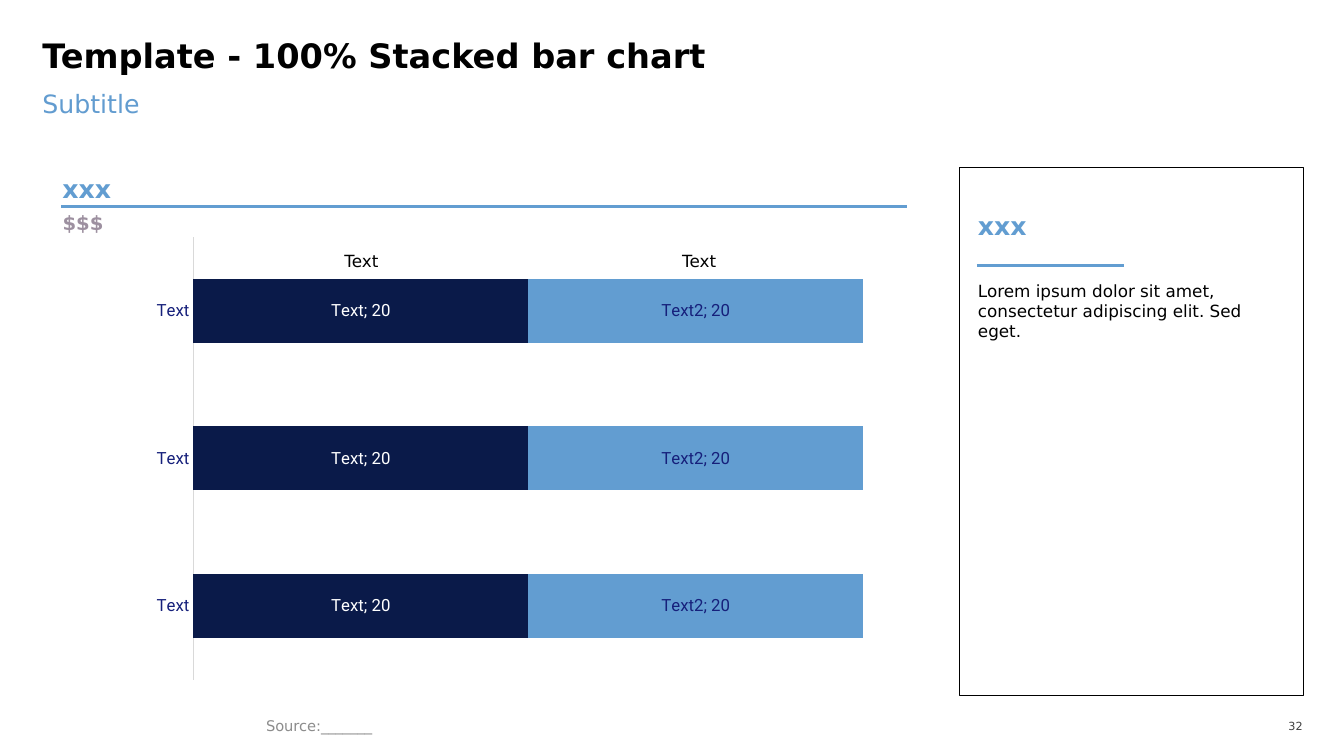
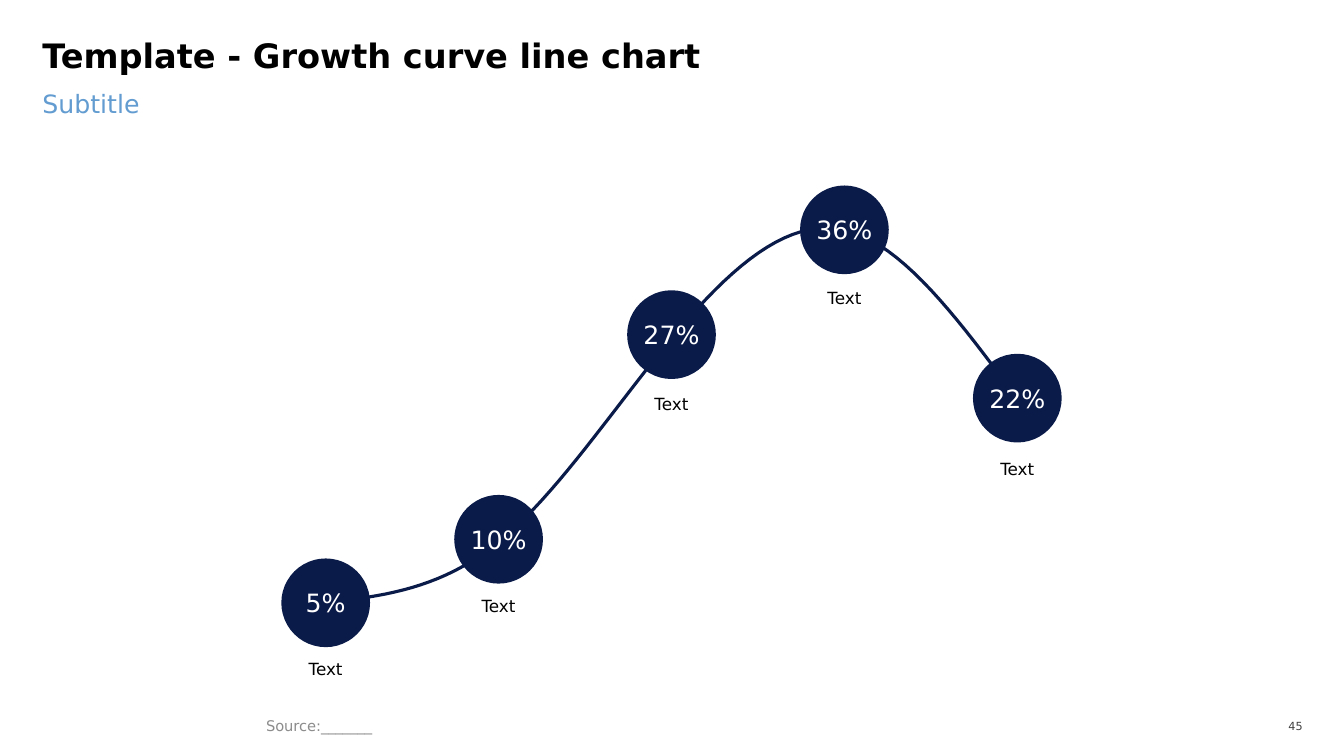
from dataclasses import dataclass

from pptx import Presentation
from pptx.chart.chart import Chart
from pptx.chart.data import CategoryChartData
from pptx.dml.color import RGBColor
from pptx.enum.chart import XL_CHART_TYPE, XL_MARKER_STYLE, XL_TICK_MARK
from pptx.enum.shapes import MSO_CONNECTOR, MSO_SHAPE
from pptx.enum.text import MSO_ANCHOR, PP_ALIGN
from pptx.oxml import parse_xml
from pptx.oxml.ns import nsdecls, qn
from pptx.shapes.autoshape import Shape
from pptx.slide import Slide
from pptx.text.text import Font
from pptx.util import Inches, Pt


@dataclass(frozen=True)
class Theme:
    black: RGBColor = RGBColor.from_string("000000")
    white: RGBColor = RGBColor.from_string("FFFFFF")
    navy: RGBColor = RGBColor.from_string("0A1A49")
    sky: RGBColor = RGBColor.from_string("629DD1")
    subtitle: RGBColor = RGBColor.from_string("629CD0")
    indigo: RGBColor = RGBColor.from_string("16207B")
    mauve: RGBColor = RGBColor.from_string("9D90A0")
    source: RGBColor = RGBColor.from_string("8C8C8C")
    number: RGBColor = RGBColor.from_string("404040")
    axis: RGBColor = RGBColor.from_string("D9D9D9")
    text_font: str = "DejaVu Sans"
    chart_font: str = "Roboto"
    title_size: float = 24
    heading_size: float = 18
    unit_size: float = 14
    body_size: float = 12
    source_size: float = 10.5
    chart_size: float = 10
    number_size: float = 8
    rule_width: float = 2.25


THEME = Theme()


@dataclass(frozen=True)
class Area:
    left: float
    top: float
    width: float
    height: float

    def lengths(self) -> tuple[Inches, Inches, Inches, Inches]:
        return (Inches(self.left), Inches(self.top),
                Inches(self.width), Inches(self.height))


@dataclass(frozen=True)
class Style:
    size: float = THEME.body_size
    color: RGBColor = THEME.black
    bold: bool = False
    align: PP_ALIGN = PP_ALIGN.LEFT
    anchor: MSO_ANCHOR = MSO_ANCHOR.TOP
    inset: bool = False
    line_spacing: float = 1.0


@dataclass(frozen=True)
class BarSeries:
    name: str
    values: tuple[int, ...]
    fill: RGBColor
    label_color: RGBColor


@dataclass(frozen=True)
class GrowthPoint:
    value: int
    percent: str
    circle_top: float
    label_top: float


TITLE = Style(THEME.title_size, bold=True, line_spacing=0.8)
SUBTITLE = Style(THEME.heading_size, THEME.subtitle)
HEADING = Style(THEME.heading_size, THEME.sky, True, anchor=MSO_ANCHOR.BOTTOM)
UNIT = Style(THEME.unit_size, THEME.mauve, True)
BODY = Style()
CAPTION = Style(align=PP_ALIGN.CENTER)
COLUMN = Style(align=PP_ALIGN.CENTER, anchor=MSO_ANCHOR.BOTTOM)
PERCENT = Style(THEME.heading_size, THEME.white, align=PP_ALIGN.CENTER,
                anchor=MSO_ANCHOR.MIDDLE)
SOURCE = Style(THEME.source_size, THEME.source, anchor=MSO_ANCHOR.MIDDLE, inset=True)
NUMBER = Style(THEME.number_size, THEME.number, align=PP_ALIGN.RIGHT,
               anchor=MSO_ANCHOR.MIDDLE)

BAR_SERIES = (
    BarSeries("Text", (20, 20, 20), THEME.navy, THEME.white),
    BarSeries("Text2", (20, 20, 20), THEME.sky, THEME.indigo),
)
GROWTH_POINTS = (
    GrowthPoint(14, "5%", 5.54, 6.54),
    GrowthPoint(28, "10%", 4.91, 5.91),
    GrowthPoint(75, "27%", 2.88, 3.91),
    GrowthPoint(100, "36%", 1.84, 2.85),
    GrowthPoint(61, "22%", 3.51, 4.55),
)


def style_font(font: Font, size: float, color: RGBColor, name: str) -> None:
    font.size = Pt(size)
    font.name = name
    font.color.rgb = color


def write_text(box: Shape, text: str, style: Style) -> None:
    frame = box.text_frame
    frame.word_wrap = True
    frame.vertical_anchor = style.anchor
    if not style.inset:
        frame.margin_left = frame.margin_right = Inches(0)
        frame.margin_top = frame.margin_bottom = Inches(0)
    para = frame.paragraphs[0]
    para.alignment = style.align
    para.line_spacing = style.line_spacing
    span = para.add_run()
    span.text = text
    span.font.bold = style.bold
    style_font(span.font, style.size, style.color, THEME.text_font)


def add_text(page: Slide, area: Area, text: str, style: Style) -> None:
    write_text(page.shapes.add_textbox(*area.lengths()), text, style)


def add_rule(page: Slide, left: float, right: float, top: float) -> None:
    rule = page.shapes.add_connector(
        MSO_CONNECTOR.STRAIGHT, Inches(left), Inches(top), Inches(right), Inches(top))
    rule.line.color.rgb = THEME.sky
    rule.line.width = Pt(THEME.rule_width)
    rule._element.spPr.append(parse_xml(f"<a:effectLst {nsdecls('a')}/>"))


def add_page(deck: Presentation, title: str, number: str) -> Slide:
    page = deck.slides.add_slide(deck.slide_layouts[6])
    add_text(page, Area(0.42, 0.42, 12.49, 0.53), title, TITLE)
    add_text(page, Area(0.42, 0.88, 12.49, 0.63), "Subtitle", SUBTITLE)
    add_text(page, Area(2.54, 7.07, 6.39, 0.26), "Source:_______", SOURCE)
    add_text(page, Area(12.5, 7.09, 0.42, 0.23), number, NUMBER)
    return page


def place_plot(chart: Chart, plot: Area) -> None:
    plot_area = chart._chartSpace.chart.plotArea
    for layout in plot_area.findall(qn("c:layout")):
        plot_area.remove(layout)
    sizes = (("x", plot.left), ("y", plot.top), ("w", plot.width), ("h", plot.height))
    edges = "".join(f'<c:{name}Mode val="edge"/>' for name in "xy")
    values = "".join(f'<c:{name} val="{value}"/>' for name, value in sizes)
    plot_area.insert(0, parse_xml(
        f"<c:layout {nsdecls('c')}><c:manualLayout>"
        f'<c:layoutTarget val="inner"/>{edges}{values}'
        "</c:manualLayout></c:layout>"))


def add_chart(page: Slide, kind: XL_CHART_TYPE, area: Area, plot: Area,
              chart_data: CategoryChartData) -> Chart:
    chart = page.shapes.add_chart(kind, *area.lengths(), chart_data).chart
    chart.has_title = False
    chart.has_legend = False
    chart.plots[0].vary_by_categories = False
    chart.value_axis.has_major_gridlines = False
    chart.value_axis.visible = False
    place_plot(chart, plot)
    return chart


def add_bar_chart(page: Slide) -> None:
    chart_data = CategoryChartData()
    chart_data.categories = ["Text"] * 3
    for item in BAR_SERIES:
        chart_data.add_series(item.name, item.values)
    chart = add_chart(page, XL_CHART_TYPE.BAR_STACKED_100, Area(0.59, 2.2, 8.41, 4.7),
                      Area(0.158, 0.032, 0.79, 0.935), chart_data)
    style_font(chart.font, THEME.body_size, THEME.indigo, THEME.chart_font)
    chart.plots[0].gap_width = 130
    chart.plots[0].overlap = 100
    axis = chart.category_axis
    axis.major_tick_mark = axis.minor_tick_mark = XL_TICK_MARK.NONE
    axis.format.line.color.rgb = THEME.axis
    axis.format.line.width = Pt(0.75)
    style_font(axis.tick_labels.font, THEME.body_size, THEME.indigo, THEME.chart_font)
    for series, item in zip(chart.plots[0].series, BAR_SERIES):
        series.format.fill.solid()
        series.format.fill.fore_color.rgb = item.fill
        labels = series.data_labels
        labels.show_value = True
        labels.show_series_name = True
        style_font(labels.font, THEME.body_size, item.label_color, THEME.chart_font)
        labels._element.find(qn("c:showBubbleSize")).addnext(
            parse_xml(f"<c:separator {nsdecls('c')}>; </c:separator>"))


def add_growth_chart(page: Slide) -> None:
    chart_data = CategoryChartData()
    chart_data.categories = [str(index + 1) for index in range(len(GROWTH_POINTS))]
    chart_data.add_series("Series 1", [point.value for point in GROWTH_POINTS])
    chart = add_chart(page, XL_CHART_TYPE.LINE_MARKERS, Area(2.22, 1.66, 8.89, 5.05),
                      Area(0.017, 0.038, 0.965, 0.937), chart_data)
    style_font(chart.font, THEME.chart_size, THEME.black, THEME.text_font)
    chart.category_axis.visible = False
    chart.value_axis.minimum_scale = 0
    chart.value_axis.maximum_scale = 110
    series = chart.plots[0].series[0]
    series.smooth = True
    series.format.line.color.rgb = THEME.navy
    series.format.line.width = Pt(THEME.rule_width)
    series.marker.style = XL_MARKER_STYLE.CIRCLE
    series.marker.size = 8
    series.marker.format.fill.solid()
    series.marker.format.fill.fore_color.rgb = THEME.navy
    series.marker.format.line.color.rgb = THEME.navy


def build_bar_page(deck: Presentation) -> None:
    page = add_page(deck, "Template - 100% Stacked bar chart", "32")
    add_bar_chart(page)
    add_text(page, Area(0.62, 1.68, 2.93, 0.34), "xxx", HEADING)
    add_rule(page, 0.61, 9, 2.05)
    add_text(page, Area(0.62, 2.09, 1.32, 0.34), "$$$", UNIT)
    for left in (2.12, 5.47):
        add_text(page, Area(left, 2.49, 2.93, 0.2), "Text", COLUMN)

    panel = page.shapes.add_shape(MSO_SHAPE.RECTANGLE,
                                  *Area(9.51, 1.66, 3.42, 5.24).lengths())
    panel.shadow.inherit = False
    panel.fill.background()
    panel.line.color.rgb = THEME.black
    panel.line.width = Pt(0.25)
    add_text(page, Area(9.7, 2.05, 2.93, 0.34), "xxx", HEADING)
    add_rule(page, 9.69, 11.15, 2.63)
    add_text(page, Area(9.7, 2.78, 2.93, 0.61),
             "Lorem ipsum dolor sit amet, consectetur adipiscing elit. Sed eget.", BODY)


def build_growth_page(deck: Presentation) -> None:
    page = add_page(deck, "Template - Growth curve line chart", "45")
    add_growth_chart(page)
    diameter, label_width = 0.88, 1.47
    for index, point in enumerate(GROWTH_POINTS):
        center = 3.23 + index * 1.715
        circle = page.shapes.add_shape(
            MSO_SHAPE.OVAL,
            *Area(center - diameter / 2, point.circle_top, diameter, diameter).lengths())
        circle.shadow.inherit = False
        circle.fill.solid()
        circle.fill.fore_color.rgb = THEME.navy
        circle.line.fill.background()
        write_text(circle, point.percent, PERCENT)
        add_text(page, Area(center - label_width / 2, point.label_top, label_width, 0.2),
                 "Text", CAPTION)


def main() -> None:
    deck = Presentation()
    deck.slide_width = Inches(13.33)
    deck.slide_height = Inches(7.5)
    build_bar_page(deck)
    build_growth_page(deck)
    deck.save("out.pptx")


if __name__ == "__main__":
    main()
